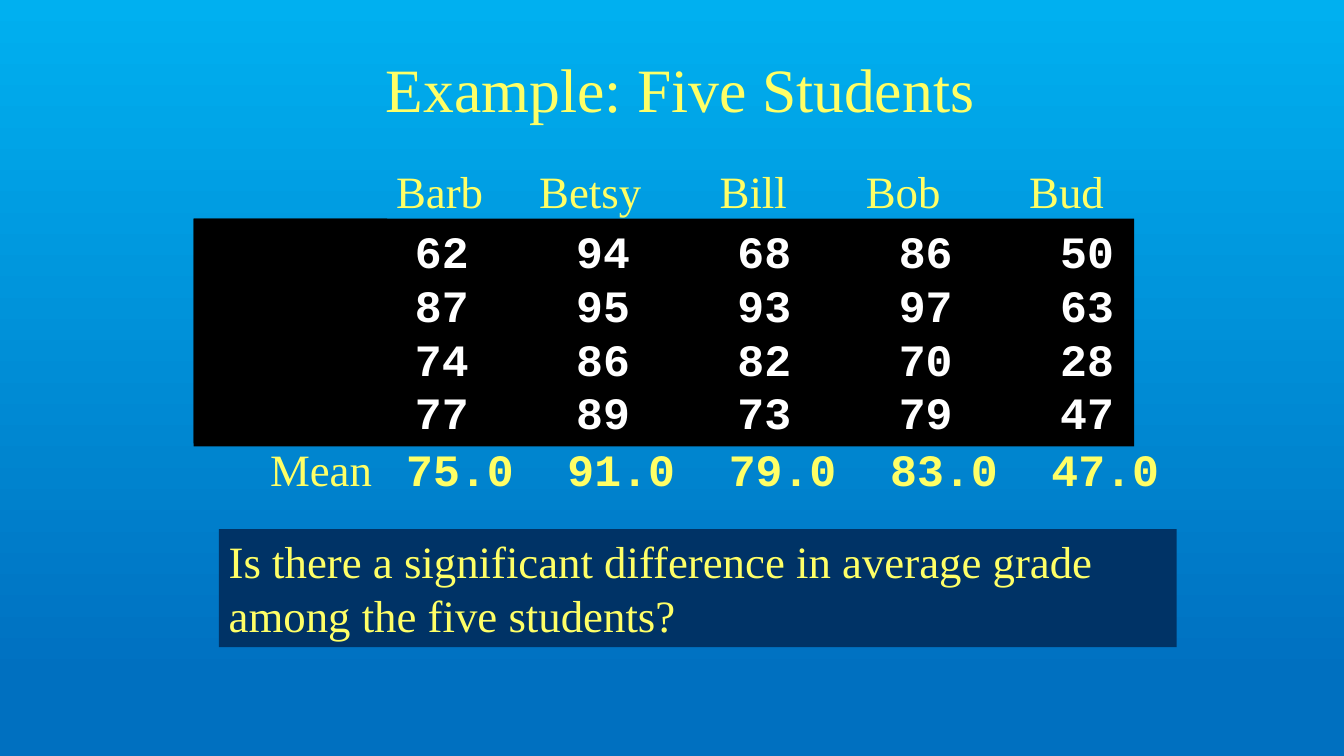
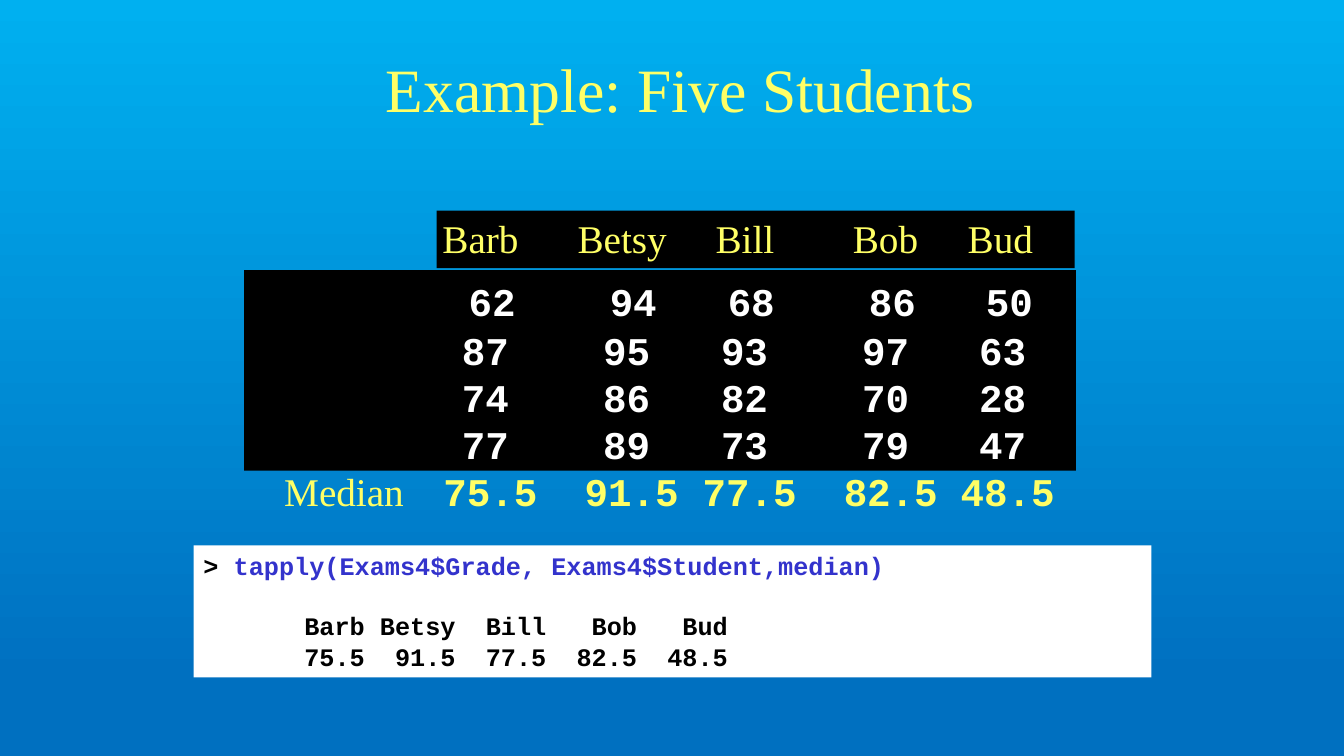
from lxml import etree
from pptx import Presentation
from pptx.dml.color import RGBColor
from pptx.enum.shapes import MSO_SHAPE
from pptx.enum.text import MSO_ANCHOR, PP_ALIGN
from pptx.oxml.ns import qn
from pptx.util import Inches, Pt

SERIF, MONO = "Times New Roman", "Courier New"
YELLOW, WHITE, BLACK = "FFFF66", "FFFFFF", "000000"
NAVY, CODE_BLUE = "003366", "3333CC"
SKY, DEEP_SKY = "00B0F0", "0070C0"

STUDENTS = ["Barb", "Betsy", "Bill", "Bob", "Bud"]
GRADES = [
    [62, 94, 68, 86, 50],
    [87, 95, 93, 97, 63],
    [74, 86, 82, 70, 28],
    [77, 89, 73, 79, 47],
]
MEANS = ["75.0", "91.0", "79.0", "83.0", "47.0"]
MEDIANS = ["75.5", "91.5", "77.5", "82.5", "48.5"]


def color(hex_string):
    """Turn a hex string into a colour."""
    return RGBColor.from_string(hex_string)


def style(font, size, name, hex_string, bold=False):
    """Format the font of a paragraph or run."""
    font.size, font.name, font.bold = Pt(size), name, bold
    font.color.rgb = color(hex_string)


def set_tabs(p, stops, align="l"):
    """Give a paragraph tab stops, in inches from the text edge."""
    tabs = etree.SubElement(p._p.get_or_add_pPr(), qn("a:tabLst"))
    for stop in stops:
        etree.SubElement(tabs, qn("a:tab"), pos=str(Inches(stop)), algn=align)


def add_run(p, text):
    """Append a run of text and return it."""
    r = p.add_run()
    r.text = text
    return r


def add_text(s, box):
    """Add a wrapping text box and return its frame."""
    tf = s.shapes.add_textbox(*map(Inches, box)).text_frame
    tf.word_wrap = True
    return tf


def add_panel(s, box, fill):
    """Add a plain filled rectangle and return its frame."""
    sp = s.shapes.add_shape(MSO_SHAPE.RECTANGLE, *map(Inches, box))
    sp.shadow.inherit = False
    sp.fill.solid()
    sp.fill.fore_color.rgb = color(fill)
    sp.line.fill.background()
    tf = sp.text_frame
    tf.word_wrap = True
    tf.vertical_anchor = MSO_ANCHOR.TOP
    tf.paragraphs[0].alignment = PP_ALIGN.LEFT
    return tf


def add_slide(prs):
    """Add a titled slide on the blue gradient."""
    s = prs.slides.add_slide(prs.slide_layouts[5])
    fill = s.background.fill
    fill.gradient()
    fill.gradient_angle = 270
    for stop, position, hex_string in zip(fill.gradient_stops, (0, 0.9), (SKY, DEEP_SKY)):
        stop.position = position
        stop.color.rgb = color(hex_string)
    title = s.shapes.title
    title.left, title.top, title.width, title.height = map(Inches, (2.5, 0.25, 8.5, 1.25))
    tf = title.text_frame
    tf.text = "Example: Five Students"
    tf.vertical_anchor = MSO_ANCHOR.MIDDLE
    p = tf.paragraphs[0]
    p.alignment = PP_ALIGN.CENTER
    style(p.font, 44, SERIF, YELLOW)
    return s


def add_names(s, box, size, stops):
    """Write the student names above the grades."""
    p = add_text(s, box).paragraphs[0]
    p.text = "\t".join(STUDENTS)
    style(p.font, size, SERIF, YELLOW)
    set_tabs(p, stops)


def add_grades(s, box, size, offsets, lead_size):
    """Write the grade rows; the first row opens with a space of its own size."""
    tf = add_text(s, box)
    for i, row in enumerate(GRADES):
        p = tf.paragraphs[0] if i == 0 else tf.add_paragraph()
        indent_size = lead_size if i == 0 else size
        style(p.font, size, MONO, WHITE, True)
        style(add_run(p, " ").font, indent_size, MONO, WHITE, True)
        add_run(p, "\t".join(map(str, row)))
        indent = 0.6 * indent_size / 72
        set_tabs(p, [indent + offset for offset in offsets[1:]])


def add_summary(s, box, label, values, size, start, offsets):
    """Write a labelled row of summary values below the grades."""
    p = add_text(s, box).paragraphs[0]
    style(p.font, size, SERIF, YELLOW)
    add_run(p, label)
    style(add_run(p, "\t" + "\t".join(values)).font, size, MONO, YELLOW, True)
    set_tabs(p, [start + offset for offset in offsets])


def add_question(s, box):
    """Add the navy panel that asks the question."""
    p = add_panel(s, box, NAVY).paragraphs[0]
    p.text = "Is there a significant difference in average grade among the five students?"
    style(p.font, 32, SERIF, YELLOW)


def add_console(s, box):
    """Add the white panel with the command and its output."""
    tf = add_panel(s, box, WHITE)
    p = tf.paragraphs[0]
    style(p.font, 18, MONO, BLACK, True)
    add_run(p, "> ")
    command = add_run(p, "tapply(Exams4$Grade, Exams4$Student,median)")
    command.font.color.rgb = color(CODE_BLUE)
    for row, gap in ((STUDENTS, 21.5), (MEDIANS, 0)):
        p = tf.add_paragraph()
        p.text = "\t" + "\t".join(row)
        p.alignment = PP_ALIGN.LEFT
        p.space_before = Pt(gap)
        style(p.font, 18, MONO, BLACK, True)
        set_tabs(p, [1.6 + 0.9 * i for i in range(len(row))], "r")


def mean_slide(prs):
    """Build the slide with mean grades and the question."""
    s = add_slide(prs)
    offsets = [1.6 * i for i in range(len(STUDENTS))]
    add_panel(s, (1.92, 2.17, 9.33, 2.26), BLACK)
    add_grades(s, (3.75, 2.17, 7.5, 2.26), 32, offsets, 32)
    add_question(s, (2.17, 5.25, 9.5, 1.17))
    add_summary(s, (2.58, 4.33, 9.08, 0.63), "Mean", MEANS, 32, 1.35, offsets)
    add_names(s, (3.83, 1.58, 7.5, 0.63), 32, (1.42, 3.21, 4.66, 6.28))
    add_panel(s, (1.92, 2.17, 1.92, 2.23), BLACK)


def median_slide(prs):
    """Build the slide with median grades and the console output."""
    s = add_slide(prs)
    offsets = (0, 1.4, 2.57, 3.97, 5.13)
    add_panel(s, (2.42, 2.68, 8.25, 1.99), BLACK)
    add_grades(s, (4.25, 2.59, 6.5, 2.12), 28, offsets, 36)
    add_summary(s, (2.72, 4.59, 8.19, 0.57), "Median", MEDIANS, 28, 1.58, offsets)
    add_panel(s, (4.33, 2.09, 6.33, 0.57), BLACK)
    add_console(s, (1.92, 5.41, 9.5, 1.31))
    add_names(s, (4.29, 2.08, 7.5, 0.57), 28, (1.34, 2.71, 4.07, 5.21))


def main():
    """Build and save the presentation."""
    prs = Presentation()
    prs.slide_width, prs.slide_height = Inches(13.33), Inches(7.5)
    mean_slide(prs)
    median_slide(prs)
    prs.save("out.pptx")


if __name__ == "__main__":
    main()
